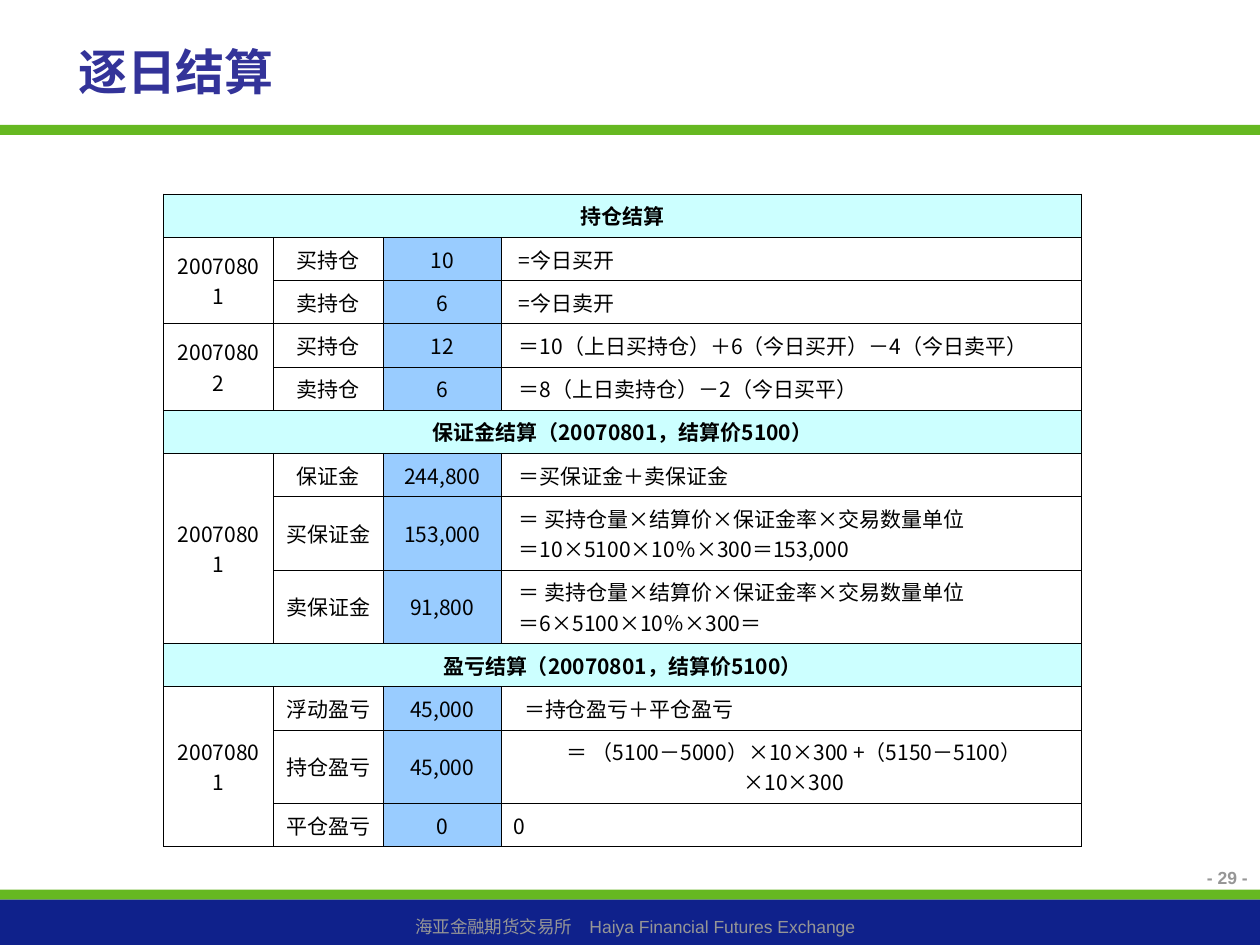
"""Build the daily settlement slide with its table of positions, margins and profits."""
from lxml.etree import SubElement
from pptx import Presentation
from pptx.dml.color import RGBColor
from pptx.enum.shapes import MSO_SHAPE as Shape
from pptx.enum.text import MSO_ANCHOR as Anchor, MSO_AUTO_SIZE as AutoSize, PP_ALIGN as Align
from pptx.oxml.ns import qn
from pptx.util import Inches, Pt

CJK = "Noto Sans CJK SC"
WIDTH, HEIGHT = 10, 7.5
GREEN, NAVY, GREY = "66B821", "0F218B", "969696"
HEADER_FILL, VALUE_FILL = "CCFFFF", "99CCFF"
TABLE_LEFT, TABLE_TOP, TABLE_HEIGHT = 1.3, 1.54, 5.18
COLUMNS = (0.87, 0.87, 0.94, 4.6)
ROW_SHARES = {1: 1, 2: 1.7}
INDENT = 0.04

BANDS = [(7.06, 0.08, GREEN), (0.99, 0.08, GREEN), (7.14, 0.36, NAVY)]
LABELS = [
    ("海亚金融期货交易所　Haiya Financial Futures Exchange", (0.08, 7.22, 9.92, 0.27), Align.CENTER, False),
    ("- 29 -", (8.03, 6.83, 1.97, 0.36), Align.RIGHT, True),
]
SECTIONS = [
    ("持仓结算", [
        ("20070801", [
            ("买持仓", "10", "=今日买开", 1, Align.LEFT, 1),
            ("卖持仓", "6", "=今日卖开", 1, Align.LEFT, 1),
        ]),
        ("20070802", [
            ("买持仓", "12", "＝10（上日买持仓）＋6（今日买开）－4（今日卖平）", 1, Align.LEFT, 1),
            ("卖持仓", "6", "＝8（上日卖持仓）－2（今日买平）", 1, Align.LEFT, 1),
        ]),
    ]),
    ("保证金结算（20070801，结算价5100）", [
        ("20070801", [
            ("保证金", "244,800", "＝买保证金＋卖保证金", 1, Align.LEFT, 1),
            ("买保证金", "153,000",
             "＝ 买持仓量×结算价×保证金率×交易数量单位\n＝10×5100×10％×300＝153,000", 1, Align.LEFT, 2),
            ("卖保证金", "91,800",
             "＝ 卖持仓量×结算价×保证金率×交易数量单位\n＝6×5100×10％×300＝", 1, Align.LEFT, 2),
        ]),
    ]),
    ("盈亏结算（20070801，结算价5100）", [
        ("20070801", [
            ("浮动盈亏", "45,000", "＝持仓盈亏＋平仓盈亏", 2, Align.LEFT, 1),
            ("持仓盈亏", "45,000", "＝ （5100－5000）×10×300 +（5150－5100）×10×300", 1, Align.CENTER, 2),
            ("平仓盈亏", "0", "0", 0, Align.LEFT, 1),
        ]),
    ]),
]


def color(value):
    return RGBColor.from_string(value)


def write(frame, text, align, hex_color, **formats):
    frame.text = text
    for paragraph in frame.paragraphs:
        paragraph.alignment = align
        for run in paragraph.runs:
            run.font.color.rgb = color(hex_color)
            for name, value in formats.items():
                setattr(run.font, name, value)
            SubElement(run.font._element, qn("a:ea"), typeface=CJK)


def add_borders(cell):
    properties = cell._tc.get_or_add_tcPr()
    for position, side in enumerate(("a:lnL", "a:lnR", "a:lnT", "a:lnB")):
        line = SubElement(properties, qn(side), w=str(Pt(0.45)))
        SubElement(SubElement(line, qn("a:solidFill")), qn("a:srgbClr"), val="000000")
        properties.insert(position, line)


def fill_cell(cell, text, align=Align.CENTER, fill=None, bold=False, indent=0):
    write(cell.text_frame, text, align, "000000", size=Pt(12), bold=bold, name=CJK)
    cell.vertical_anchor = Anchor.MIDDLE
    cell.margin_left = Inches(0.1 + indent * INDENT)
    if fill:
        cell.fill.solid()
        cell.fill.fore_color.rgb = color(fill)


def add_settlement_table(slide):
    shares = []
    for _, days in SECTIONS:
        shares.append(ROW_SHARES[1])
        shares += [ROW_SHARES[row[-1]] for _, rows in days for row in rows]
    box = map(Inches, (TABLE_LEFT, TABLE_TOP, sum(COLUMNS), TABLE_HEIGHT))
    table = slide.shapes.add_table(len(shares), len(COLUMNS), *box).table
    table.first_row = table.horz_banding = False
    for column, width in zip(table.columns, COLUMNS):
        column.width = Inches(width)
    for row, share in zip(table.rows, shares):
        row.height = Inches(TABLE_HEIGHT * share / sum(shares))
    for cell in table.iter_cells():
        cell.fill.background()
        add_borders(cell)

    index = 0
    for heading, days in SECTIONS:
        table.cell(index, 0).merge(table.cell(index, len(COLUMNS) - 1))
        fill_cell(table.cell(index, 0), heading, fill=HEADER_FILL, bold=True)
        index += 1
        for day, rows in days:
            table.cell(index, 0).merge(table.cell(index + len(rows) - 1, 0))
            fill_cell(table.cell(index, 0), day)
            for item, value, formula, indent, align, _ in rows:
                fill_cell(table.cell(index, 1), item)
                fill_cell(table.cell(index, 2), value, fill=VALUE_FILL)
                fill_cell(table.cell(index, 3), formula, align, indent=indent)
                index += 1


def main():
    presentation = Presentation()
    presentation.slide_width, presentation.slide_height = Inches(WIDTH), Inches(HEIGHT)
    slide = presentation.slides.add_slide(presentation.slide_layouts[5])

    for top, height, fill in BANDS:
        band = slide.shapes.add_shape(Shape.RECTANGLE, 0, Inches(top), Inches(WIDTH), Inches(height))
        band.shadow.inherit = False
        band.fill.solid()
        band.fill.fore_color.rgb = color(fill)
        band.line.fill.background()

    for text, box, align, bold in LABELS:
        frame = slide.shapes.add_textbox(*map(Inches, box)).text_frame
        frame.word_wrap = True
        write(frame, text, align, GREY, size=Pt(10), bold=bold, name="Arial")

    title = slide.shapes.title
    title.left, title.top, title.width, title.height = map(Inches, (0.52, 0.21, 6.93, 0.71))
    title.text_frame.auto_size = AutoSize.NONE
    title.text_frame.vertical_anchor = Anchor.MIDDLE
    write(title.text_frame, "逐日结算", Align.LEFT, "333399", size=Pt(28), bold=True, name="Arial")

    add_settlement_table(slide)
    presentation.save("out.pptx")


if __name__ == "__main__":
    main()
